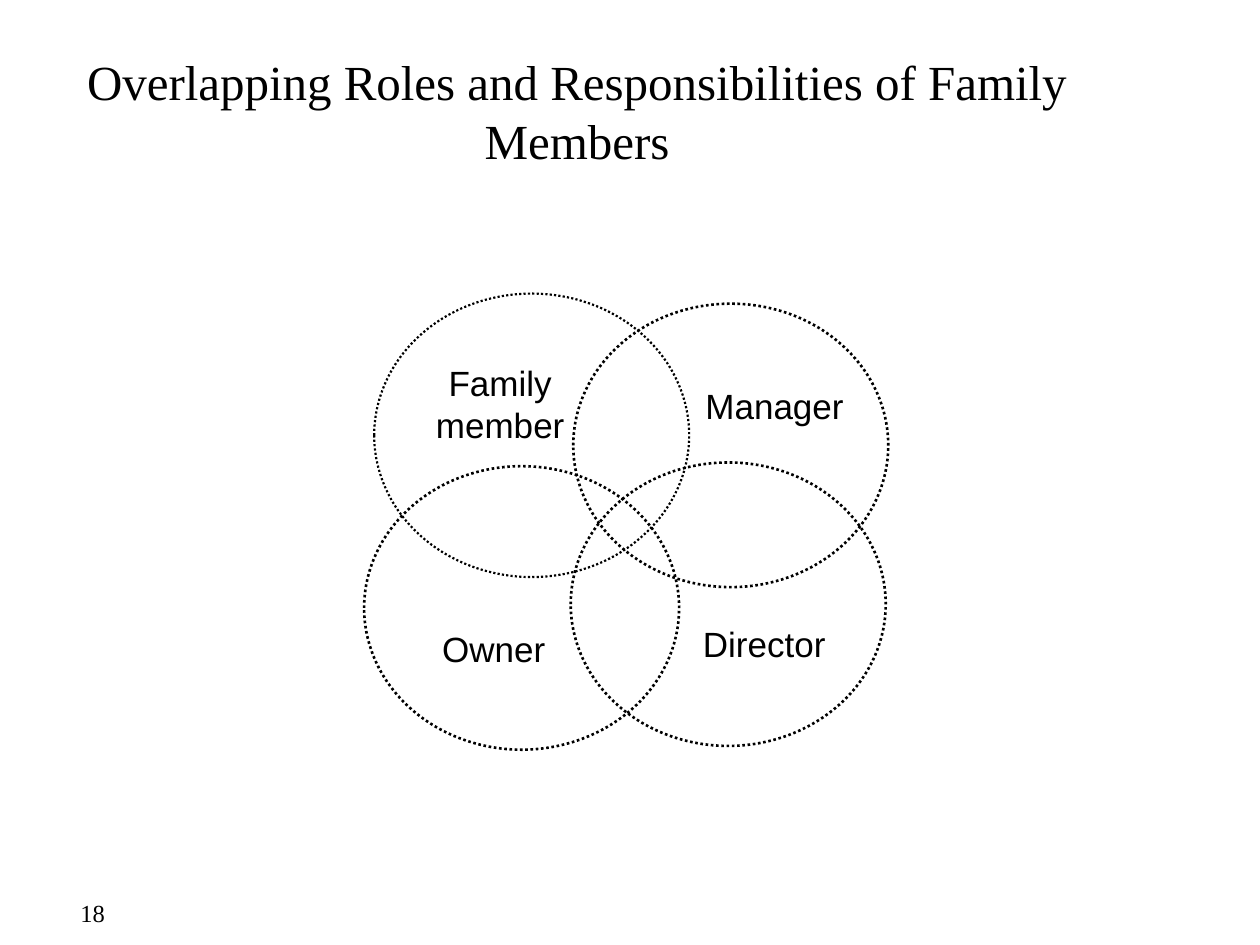
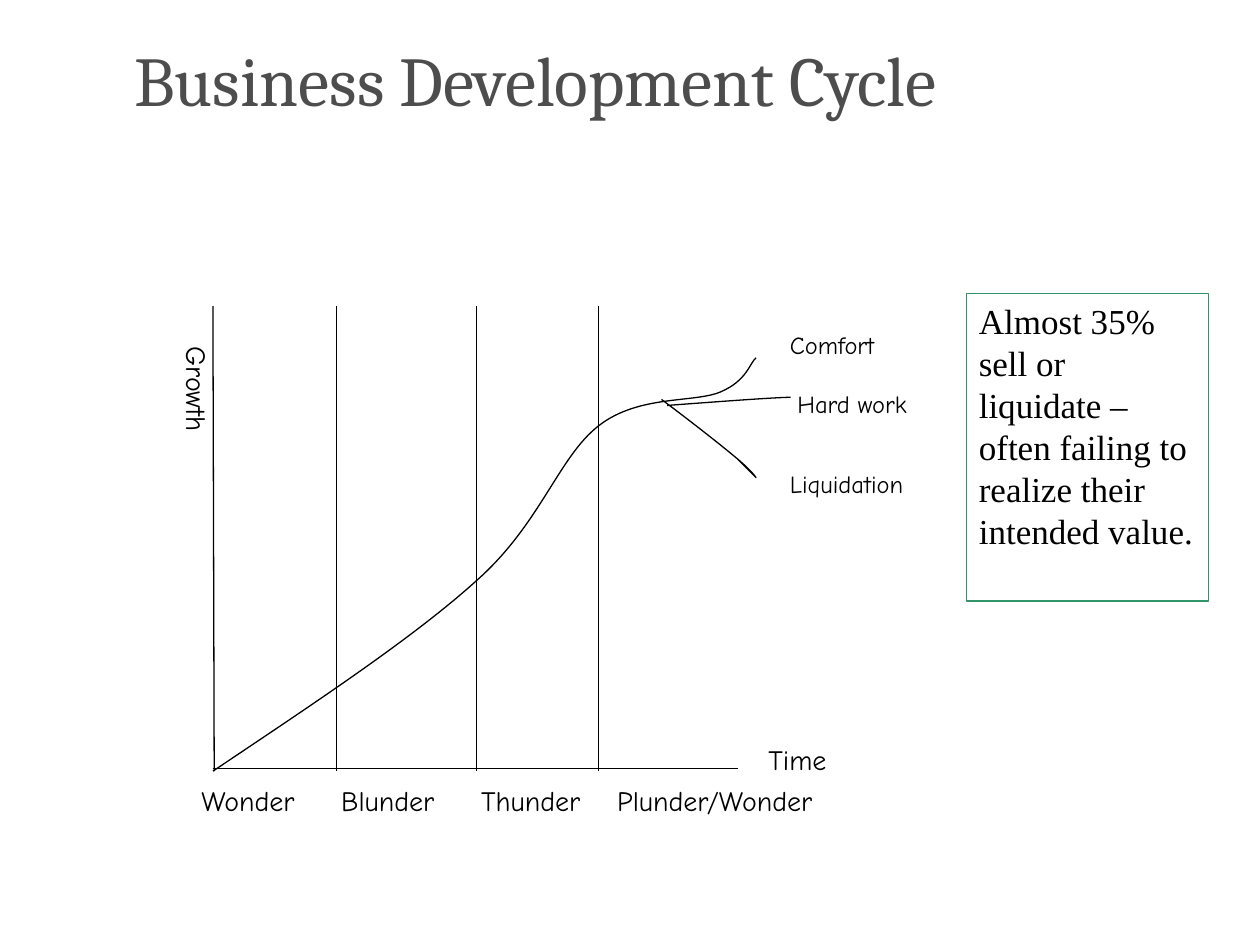
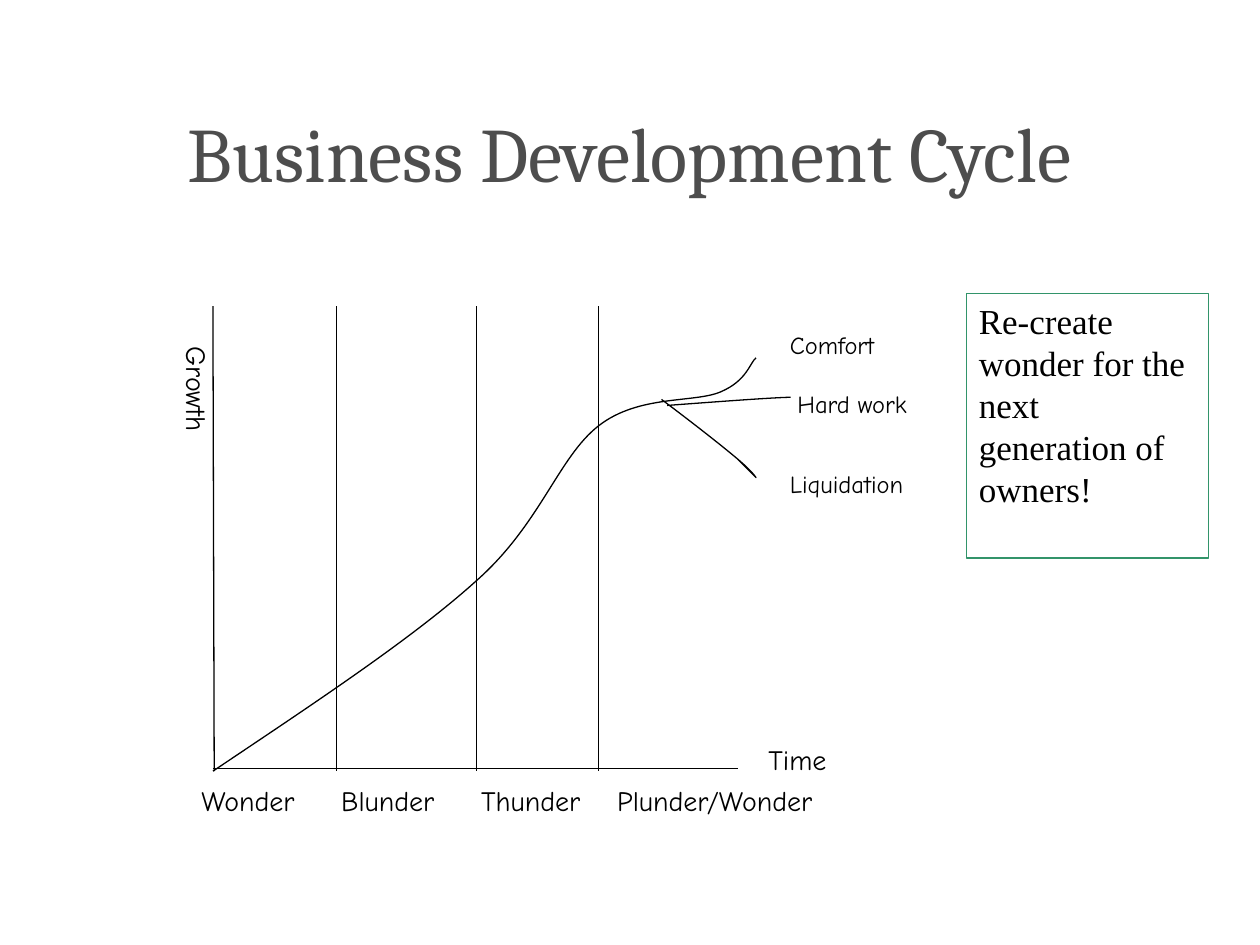
from dataclasses import dataclass

import pptx
import pptx.dml.color
import pptx.enum.dml
import pptx.enum.shapes
import pptx.enum.text
import pptx.oxml.ns
import pptx.util
from lxml import etree

PX = 9144  # EMU per px, 100 px to the inch
ALIGN = pptx.enum.text.PP_ALIGN
ANCHOR = pptx.enum.text.MSO_ANCHOR
SHAPE = pptx.enum.shapes.MSO_SHAPE

Point = tuple[int, int]


@dataclass(frozen=True)
class Theme:
    ink: str = "000000"
    title_ink: str = "4D4D4D"
    accent: str = "32946A"
    serif: str = "Times New Roman"
    sans: str = "Arial"
    heading: str = "Cambria"
    hand: str = "Comic Neue"
    small: int = 14
    medium: int = 16
    body: int = 20
    title: int = 28
    large_title: int = 40
    huge_title: int = 44
    thin: float = 0.75


THEME = Theme()


@dataclass(frozen=True)
class Box:
    left: int
    top: int
    width: int
    height: int

    def emu(self) -> tuple[int, int, int, int]:
        return self.left * PX, self.top * PX, self.width * PX, self.height * PX


@dataclass(frozen=True)
class TextStyle:
    font: str
    size: int
    color: str = THEME.ink
    align: ALIGN = ALIGN.LEFT
    anchor: ANCHOR = ANCHOR.TOP
    wrap: bool = True
    insets: tuple[int, int, int, int] = (10, 5, 10, 5)


@dataclass(frozen=True)
class Line:
    text: str
    space_before: float = 0
    indent: int = 0
    tabs: tuple[int, ...] = ()


@dataclass(frozen=True)
class Role:
    name: str
    circle: Point
    line_width: float
    label: Box
    align: ALIGN = ALIGN.LEFT


@dataclass(frozen=True)
class CycleSlide:
    title_box: Box
    title_size: int
    note: str
    note_height: int


@dataclass(frozen=True)
class Curve:
    start: Point
    controls: tuple[Point, ...]  # three points for each cubic segment
    rotation: float = 0


# Slide content
ROLE_TITLE = "Overlapping Roles and Responsibilities of Family Members"
CIRCLE_SIZE = (250, 225)
ROLES = (
    Role("Family\nmember", (297, 233), 1.25, Box(336, 282, 122, 77), ALIGN.CENTER),
    Role("Manager", (455, 241), 1.5, Box(550, 300, 130, 44)),
    Role("Owner", (289, 370), 1.5, Box(341, 493, 102, 44)),
    Role("Director", (453, 367), 1.5, Box(548, 489, 118, 44)),
)
CYCLE_TITLE = "Business Development Cycle"
CYCLES = (
    CycleSlide(Box(0, 0, 850, 125), THEME.large_title,
               "Almost 35% sell or liquidate – often failing to realize their intended value.", 244),
    CycleSlide(Box(75, 58, 850, 125), THEME.huge_title,
               "Re-create wonder for the next generation of owners!", 210),
)
AXIS_TOP, AXIS_BOTTOM = 243, 612
STAGE_DIVIDERS = (267, 378, 475)
STAGES = Line("Wonder\tBlunder\tThunder\tPlunder/Wonder", tabs=(111, 222, 330))
OUTCOMES = (Line("Comfort"), Line("Hard work", 16.8, 6), Line("Liquidation", 28.8))
CURVES = (
    Curve((169, 612), (  # growth up to comfort
        (248, 559), (327, 507), (378, 461),
        (429, 416), (443, 363), (475, 338),
        (507, 313), (551, 320), (572, 311),
        (593, 302), (595, 288), (600, 284),
    )),
    Curve((530, 311), ((571, 317), (612, 323), (627, 326)), 347.4),  # hard work
    Curve((525, 317), (  # liquidation
        (549, 335), (572, 353), (585, 364),
        (597, 374), (600, 379), (600, 379),
        (600, 379), (585, 364), (585, 364),
        (585, 364), (592, 371), (600, 379),
    )),
)


# Drawing helpers
def rgb(color: str) -> pptx.dml.color.RGBColor:
    return pptx.dml.color.RGBColor.from_string(color)


def outline(shape, color: str, width: float) -> None:
    shape.shadow.inherit = False
    shape.fill.background()
    shape.line.color.rgb = rgb(color)
    shape.line.width = pptx.util.Pt(width)


def add_run(paragraph, text: str, style: TextStyle) -> None:
    run = paragraph.add_run()
    run.text = text
    run.font.name = style.font
    run.font.size = pptx.util.Pt(style.size)
    run.font.color.rgb = rgb(style.color)


def set_indent_and_tabs(paragraph, line: Line) -> None:
    properties = paragraph._p.get_or_add_pPr()
    if line.indent:
        properties.set("marL", str(line.indent * PX))
    if line.tabs:
        tab_list = etree.SubElement(properties, pptx.oxml.ns.qn("a:tabLst"))
        for position in line.tabs:
            etree.SubElement(tab_list, pptx.oxml.ns.qn("a:tab"), pos=str(position * PX), algn="l")


def write(shape, lines: tuple[Line, ...], style: TextStyle) -> None:
    frame = shape.text_frame
    frame.word_wrap = style.wrap
    if not style.wrap:
        frame.auto_size = pptx.enum.text.MSO_AUTO_SIZE.SHAPE_TO_FIT_TEXT
    frame.vertical_anchor = style.anchor
    (frame.margin_left, frame.margin_top,
     frame.margin_right, frame.margin_bottom) = (inset * PX for inset in style.insets)
    for index, line in enumerate(lines):
        paragraph = frame.add_paragraph() if index else frame.paragraphs[0]
        set_indent_and_tabs(paragraph, line)
        paragraph.alignment = style.align
        if line.space_before:
            paragraph.space_before = pptx.util.Pt(line.space_before)
        for part_index, part in enumerate(line.text.split("\n")):
            if part_index:
                paragraph.add_line_break()
            add_run(paragraph, part, style)


def add_text(shapes, box: Box, style: TextStyle, *lines: Line):
    shape = shapes.add_textbox(*box.emu())
    write(shape, lines, style)
    return shape


def add_line(shapes, start: Point, end: Point) -> None:
    connector = shapes.add_connector(
        pptx.enum.shapes.MSO_CONNECTOR.STRAIGHT, *(value * PX for value in start + end))
    connector.line.color.rgb = rgb(THEME.ink)
    connector.line.width = pptx.util.Pt(THEME.thin)
    etree.SubElement(connector._element.spPr, pptx.oxml.ns.qn("a:effectLst"))


def add_curve(shapes, curve: Curve) -> None:
    builder = shapes.build_freeform(*curve.start, scale=PX)
    builder.add_line_segments(curve.controls, close=False)
    shape = builder.convert_to_shape()
    outline(shape, THEME.ink, THEME.thin)
    shape.rotation = curve.rotation
    # Join each three straight segments into one cubic
    segments = list(shape._element.iter(pptx.oxml.ns.qn("a:lnTo")))
    for first in range(0, len(segments), 3):
        cubic = etree.SubElement(segments[first].getparent(), pptx.oxml.ns.qn("a:cubicBezTo"))
        for segment in segments[first:first + 3]:
            cubic.append(segment[0])
            segment.getparent().remove(segment)


# Slides
def add_roles_slide(presentation) -> None:
    shapes = presentation.slides.add_slide(presentation.slide_layouts[6]).shapes
    add_text(shapes, Box(-39, 708, 132, 50),
             TextStyle(THEME.serif, THEME.small, align=ALIGN.RIGHT), Line("18"))
    add_text(shapes, Box(33, 25, 850, 125),
             TextStyle(THEME.serif, THEME.title, align=ALIGN.CENTER, anchor=ANCHOR.MIDDLE),
             Line(ROLE_TITLE))
    for role in ROLES:
        circle = shapes.add_shape(SHAPE.OVAL, *Box(*role.circle, *CIRCLE_SIZE).emu())
        outline(circle, THEME.ink, role.line_width)
        circle.line.dash_style = pptx.enum.dml.MSO_LINE.ROUND_DOT
        add_text(shapes, role.label,
                 TextStyle(THEME.sans, THEME.body, align=role.align, wrap=False),
                 Line(role.name))


def add_growth_diagram(shapes) -> None:
    label = TextStyle(THEME.hand, THEME.medium)
    growth = add_text(shapes, Box(125, 251, 50, 114),
                      TextStyle(THEME.hand, THEME.medium, insets=(5, 24, 5, 10)),
                      Line("Growth"))
    growth.text_frame._txBody.bodyPr.set("vert", "eaVert")
    add_text(shapes, Box(600, 584, 125, 41), label, Line("Time"))

    # Axes and stage dividers
    add_line(shapes, (169, AXIS_TOP), (170, AXIS_BOTTOM))
    add_line(shapes, (169, 610), (586, 610))
    for x in STAGE_DIVIDERS:
        add_line(shapes, (x, AXIS_TOP), (x, AXIS_BOTTOM))

    # Growth curve with its three outcomes
    for curve in CURVES:
        add_curve(shapes, curve)
    add_text(shapes, Box(617, 234, 150, 150),
             TextStyle(THEME.hand, THEME.small, insets=(10, 28, 10, 5)), *OUTCOMES)
    add_text(shapes, Box(150, 617, 542, 62), label, STAGES)


def add_cycle_slide(presentation, cycle: CycleSlide) -> None:
    shapes = presentation.slides.add_slide(presentation.slide_layouts[6]).shapes
    add_text(shapes, cycle.title_box,
             TextStyle(THEME.heading, cycle.title_size, THEME.title_ink,
                       ALIGN.CENTER, ANCHOR.MIDDLE),
             Line(CYCLE_TITLE))
    add_growth_diagram(shapes.add_group_shape().shapes)
    note = shapes.add_shape(SHAPE.RECTANGLE, *Box(767, 233, 192, cycle.note_height).emu())
    outline(note, THEME.accent, THEME.thin)
    write(note, (Line(cycle.note),),
          TextStyle(THEME.serif, THEME.body, insets=(10, 5, 11, 5)))


def main() -> None:
    presentation = pptx.Presentation()
    presentation.slide_width = 1000 * PX
    presentation.slide_height = 750 * PX
    add_roles_slide(presentation)
    for cycle in CYCLES:
        add_cycle_slide(presentation, cycle)
    presentation.save("out.pptx")


if __name__ == "__main__":
    main()
